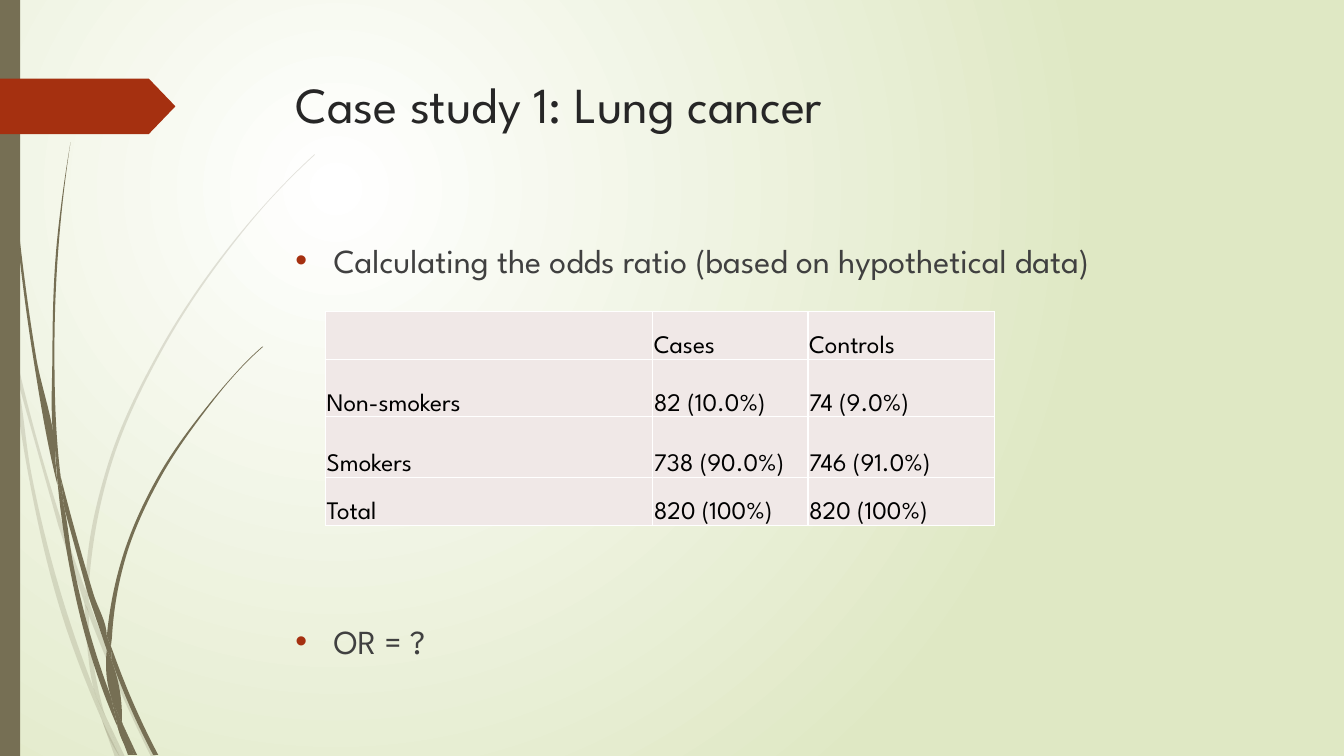
import math

from pptx import Presentation
from pptx import util as u
from pptx.dml.color import RGBColor
from pptx.enum import shapes, text
from pptx.oxml import ns, parse_xml

# The slide is a grid of 1333 columns by 750 rows
CELL = u.Inches(0.01)
COLUMNS, ROWS = 1333, 750
FONT = "League Spartan"
COLORS = {
    "glow": "FFFFFF", "meadow": "DFE8C4", "grass": "766F54", "rust": "A53010",
    "title": "262626", "body": "404040", "cell": "F0E8E7", "rule": "FFFFFF", "data": "000000",
}

# Each blade piece is a ring of smooth sides, in grid points
PALE_BLADES = [
    ([(11, 350), (9, 322), (0, 282)], [(0, 299), (10, 344), (11, 350)]),
    ([(58, 522), (84, 599)], [(85, 586), (62, 520), (14, 345)], [(17, 376), (58, 522)]),
    ([(92, 607), (88, 596)], [(88, 610), (123, 694), (150, 751)], [(155, 751), (127, 692), (92, 607)]),
    ([(119, 751)], [(124, 751), (105, 711)]),
    ([(93, 683), (70, 619), (31, 469), (17, 376), (11, 350)],
     [(11, 350), (28, 470), (65, 621), (92, 693), (101, 714)], [(99, 707), (93, 683)]),
    ([(84, 599), (87, 646), (93, 683), (96, 692), (105, 711)],
     [(103, 706), (91, 646), (88, 610), (88, 608), (84, 599)]),
    ([(88, 584), (110, 462), (160, 349), (229, 245), (268, 198), (290, 175), (312, 154)],
     [(312, 153), (289, 175), (268, 197), (228, 244), (158, 348), (107, 461), (85, 584), (85, 586)],
     [(88, 596), (88, 584)]),
    ([(101, 714), (114, 751)], [(119, 751), (101, 714)]),
    ([(88, 608), (88, 610)], [(88, 596), (85, 586)], [(84, 599), (88, 608)]),
    ([(96, 692), (93, 683)], [(99, 707), (101, 714), (119, 751)], [(105, 711), (96, 692)]),
]
DARK_BLADES = [
    ([(7, 110), (17, 233), (33, 355), (56, 477), (57, 481)],
     [(55, 457), (55, 453), (36, 355), (19, 232), (8, 109), (5, 48), (4, 0)],
     [(3, 0), (4, 48), (7, 110)]),
    ([(88, 592), (106, 645)], [(106, 633), (106, 631), (93, 590), (60, 472)], [(64, 505), (88, 592)]),
    ([(113, 649), (110, 641)], [(111, 656), (132, 708), (152, 749)], [(157, 749), (136, 706), (113, 649)]),
    ([(110, 691), (98, 657), (72, 556), (64, 505), (57, 477)],
     [(57, 477), (68, 557), (93, 659), (111, 708), (117, 722)], [(116, 717), (110, 691)]),
    ([(60, 472), (58, 453), (54, 349), (58, 245), (63, 193), (70, 141)],
     [(70, 141), (62, 193), (56, 245), (52, 349), (55, 449), (60, 472)]),
    ([(133, 749)], [(136, 749), (122, 719)]),
    ([(57, 477), (64, 505)], [(60, 472), (55, 449)], [(55, 453), (57, 477)]),
    ([(111, 633), (125, 552), (158, 476), (205, 406), (231, 374), (245, 359), (261, 344)],
     [(260, 344), (245, 358), (231, 373), (204, 405), (156, 474), (122, 551), (106, 631)],
     [(110, 641), (111, 633)]),
    ([(117, 722), (127, 749)], [(131, 749), (117, 722)]),
    ([(106, 645), (110, 691), (116, 706), (122, 719)],
     [(121, 716), (111, 656), (109, 651), (106, 645)]),
    ([(106, 645), (109, 651), (111, 656)], [(110, 641), (106, 631)], [(106, 633), (106, 645)]),
    ([(116, 706), (110, 691)], [(116, 717), (117, 722), (130, 749)], [(133, 749), (122, 719), (116, 706)]),
]

SMOKING = [
    ["", "Cases", "Controls"],
    ["Non-smokers", "82 (10.0%)", "74 (9.0%)"],
    ["Smokers", "738 (90.0%)", "746 (91.0%)"],
    ["Total", "820 (100%)", "820 (100%)"],
]
SMOKING_COLUMNS = [324.5, 154, 185]
SMOKING_ROWS = [47.5, 57, 60, 47.5]


def cells(*counts):
    return [round(count * CELL) for count in counts]


def rgb(name):
    return RGBColor.from_string(COLORS[name])


def xml(tag, inner="", attributes=""):
    return parse_xml(f'<a:{tag} {ns.nsdecls("a")} {attributes}>{inner}</a:{tag}>')


def paint(shape, color, opacity=100):
    shape.shadow.inherit = False
    shape.fill.solid()
    shape.fill.fore_color.rgb = rgb(color)
    shape.line.fill.background()
    if opacity < 100:
        tint = shape.element.spPr.find(".//" + ns.qn("a:srgbClr"))
        tint.append(xml("alpha", attributes=f'val="{opacity * 1000}"'))


def add_background(slide):
    fill = slide.background.fill
    fill.gradient()
    for stop, color, position in zip(fill.gradient_stops, ("glow", "meadow"), (0, 1)):
        stop.color.rgb = rgb(color)
        stop.position = position
    gradient = slide.element.find(".//" + ns.qn("a:gradFill"))
    focus = '<a:fillToRect l="50000" t="50000" r="100000" b="100000"/>'
    gradient.replace(gradient.find(ns.qn("a:lin")), xml("path", focus, 'path="circle"'))


def bezier_controls(side):
    """Control point pairs of a smooth curve through the points of one side."""
    gaps = [math.dist(a, b) for a, b in zip(side, side[1:])]
    slopes = [[(b[i] - a[i]) / gap for i in (0, 1)] for a, b, gap in zip(side, side[1:], gaps)]
    inner = [[(v[i] * after + w[i] * before) / (before + after) for i in (0, 1)]
             for v, w, before, after in zip(slopes, slopes[1:], gaps, gaps[1:])]
    ends = inner or slopes
    first, last = ([2 * v[i] - w[i] for i in (0, 1)]
                   for v, w in ((slopes[0], ends[0]), (slopes[-1], ends[-1])))
    tangents = [first, *inner, last]
    return [([a[i] + v[i] * gap / 3 for i in (0, 1)], [b[i] - w[i] * gap / 3 for i in (0, 1)])
            for a, b, v, w, gap in zip(side, side[1:], tangents, tangents[1:], gaps)]


def add_blade(slide, sides, opacity):
    outline, bends = [], []
    for side in sides:
        joined = bool(outline) and outline[-1] == side[0]
        outline += side[joined:]
        bends += [] if joined or not bends and side is sides[0] else [None]
        bends += bezier_controls(side) if len(side) > 1 else []
    builder = slide.shapes.build_freeform(*cells(*outline[0]))
    builder.add_line_segments([cells(*point) for point in outline[1:]], close=True)
    blade = builder.convert_to_shape()
    paint(blade, "grass", opacity)
    for line, bend in zip(blade.element.findall(".//" + ns.qn("a:lnTo")), bends):
        if bend:
            curve = xml("cubicBezTo")
            for x, y in (cells(*point) for point in bend):
                curve.append(xml("pt", attributes=f'x="{x - blade.left}" y="{y - blade.top}"'))
            curve.append(line[0])
            line.getparent().replace(line, curve)


def add_block(slide, kind, box, color):
    block = slide.shapes.add_shape(kind, *cells(*box))
    paint(block, color)
    return block


def add_lines(slide, box, lines, size, color):
    frame = slide.shapes.add_textbox(*cells(*box)).text_frame
    frame.word_wrap = True
    for index, line in enumerate(lines):
        paragraph = frame.add_paragraph() if index else frame.paragraphs[0]
        paragraph.text = line
        style(paragraph, size, color)
    return frame.paragraphs


def style(paragraph, size, color):
    paragraph.font.name = FONT
    paragraph.font.size = u.Pt(size)
    paragraph.font.color.rgb = rgb(color)


def add_bullet(paragraph, space_before):
    paragraph.space_before = u.Pt(space_before)
    properties = paragraph._p.get_or_add_pPr()
    properties.set("marL", str(38 * CELL))
    properties.set("indent", str(-38 * CELL))
    for tag, inner, attributes in (("buClr", f'<a:srgbClr val="{COLORS["rust"]}"/>', ""),
                                   ("buFont", "", 'typeface="Arial"'), ("buChar", "", 'char="•"')):
        properties.append(xml(tag, inner, attributes))


def fill_cell(cell, value):
    cell.margin_left = cell.margin_right = cell.margin_top = CELL
    cell.margin_bottom = 0
    cell.vertical_anchor = text.MSO_ANCHOR.BOTTOM
    cell.text = value
    style(cell.text_frame.paragraphs[0], 18, "data")
    rule = f'<a:solidFill><a:srgbClr val="{COLORS["rule"]}"/></a:solidFill>'
    for edge in ("lnL", "lnR", "lnT", "lnB"):
        cell._tc.get_or_add_tcPr().append(xml(edge, rule, f'w="{u.Pt(1)}"'))
    cell.fill.solid()
    cell.fill.fore_color.rgb = rgb("cell")


def add_smoking_table(slide):
    box = cells(323, 309, sum(SMOKING_COLUMNS), sum(SMOKING_ROWS))
    table = slide.shapes.add_table(len(SMOKING), len(SMOKING[0]), *box).table
    table.first_row = table.horz_banding = False
    for column, width in zip(table.columns, cells(*SMOKING_COLUMNS)):
        column.width = width
    for row, height, values in zip(table.rows, cells(*SMOKING_ROWS), SMOKING):
        row.height = height
        for cell, value in zip(row.cells, values):
            fill_cell(cell, value)


def main():
    deck = Presentation()
    deck.slide_width, deck.slide_height = cells(COLUMNS, ROWS)
    slide = deck.slides.add_slide(deck.slide_layouts[6])
    # Backdrop with grass, side bar and arrow tab
    add_background(slide)
    for blades, opacity in ((PALE_BLADES, 20), (DARK_BLADES, 100)):
        for sides in blades:
            add_blade(slide, sides, opacity)
    add_block(slide, shapes.MSO_SHAPE.RECTANGLE, (0, 0, 20, ROWS), "grass")
    tab = add_block(slide, shapes.MSO_SHAPE.PENTAGON, (0, 78, 174, 55), "rust")
    tab.adjustments[0] = 0.48
    # Title, bullets and table
    add_lines(slide, (283, 68, 975, 140), ["Case study 1: Lung cancer"], 36, "title")
    task, question = add_lines(
        slide, (283, 233, 975, 413),
        ["Calculating the odds ratio (based on hypothetical data)", "OR = ?"], 24, "body")
    add_bullet(task, 10)
    add_bullet(question, 243.5)
    add_smoking_table(slide)
    deck.save("out.pptx")


if __name__ == "__main__":
    main()
